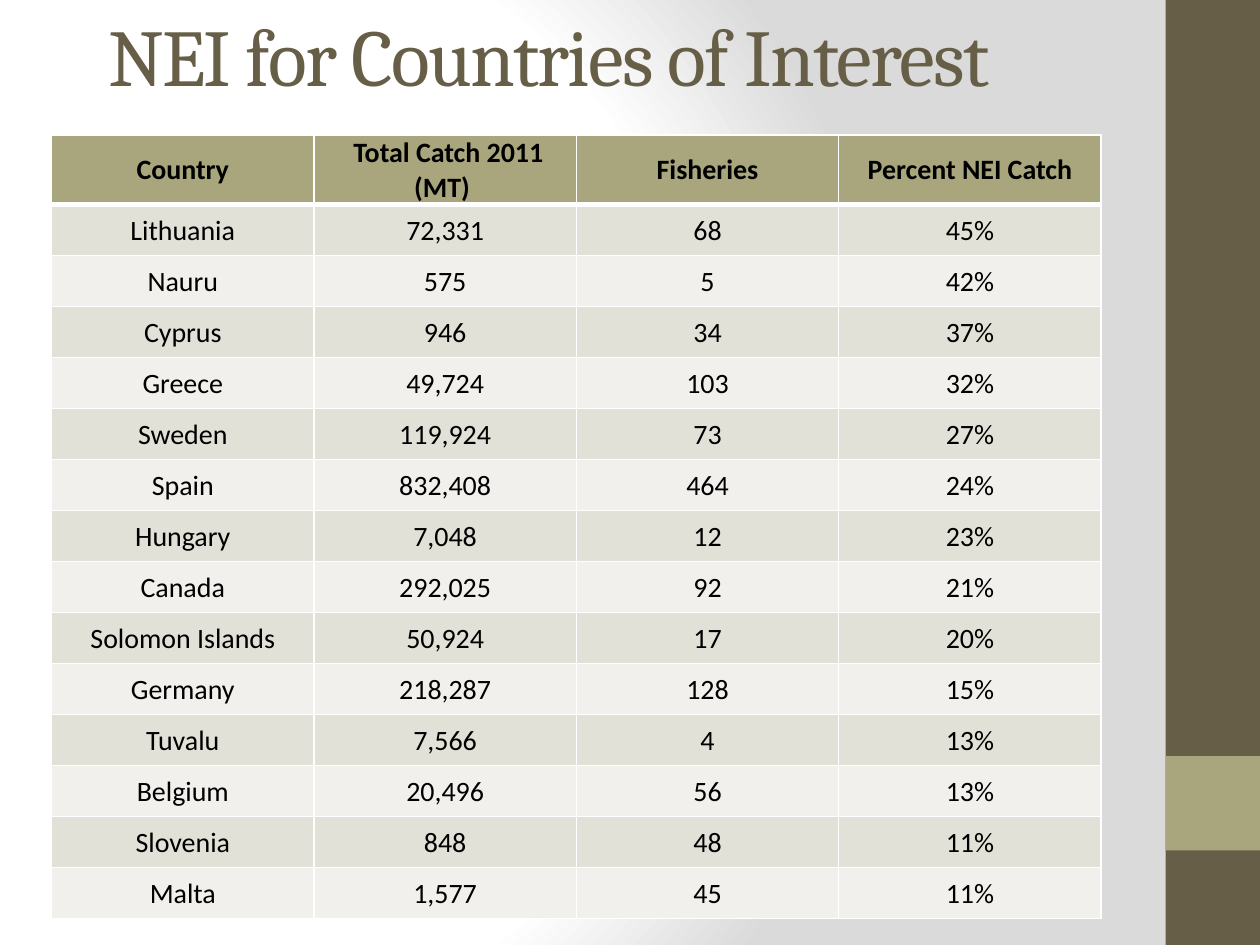
from lxml import etree
from pptx import Presentation
from pptx.dml.color import RGBColor
from pptx.enum import shapes, text
from pptx.oxml import ns
from pptx.util import Inches, Pt

BROWN = RGBColor(0x67, 0x5E, 0x47)
OLIVE = RGBColor(0xA9, 0xA5, 0x7C)
BAND_DARK = RGBColor(0xE2, 0xE1, 0xD7)
BAND_LIGHT = RGBColor(0xF1, 0xF0, 0xEC)
WHITE = RGBColor(0xFF, 0xFF, 0xFF)
GREY = RGBColor(0xDA, 0xDA, 0xDA)
BLACK = RGBColor(0, 0, 0)

ROWS = [
    ("Country", " Total Catch 2011\n(MT) ", "Fisheries", "Percent NEI Catch"),
    ("Lithuania", " 72,331 ", "68", "45%"),
    ("Nauru", " 575 ", "5", "42%"),
    ("Cyprus", " 946 ", "34", "37%"),
    ("Greece", " 49,724 ", "103", "32%"),
    ("Sweden", " 119,924 ", "73", "27%"),
    ("Spain", " 832,408 ", "464", "24%"),
    ("Hungary", " 7,048 ", "12", "23%"),
    ("Canada", " 292,025 ", "92", "21%"),
    ("Solomon Islands", " 50,924 ", "17", "20%"),
    ("Germany", " 218,287 ", "128", "15%"),
    ("Tuvalu", " 7,566 ", "4", "13%"),
    ("Belgium", " 20,496 ", "56", "13%"),
    ("Slovenia", " 848 ", "48", "11%"),
    ("Malta", " 1,577 ", "45", "11%"),
]


def add_xml(parent, tag, **attrs):
    return etree.SubElement(parent, ns.qn(tag), {k: str(v) for k, v in attrs.items()})


def set_borders(cell, widths):
    tcPr = cell._tc.get_or_add_tcPr()
    for side, width in zip("LRTB", widths):
        ln = add_xml(tcPr, f"a:ln{side}", w=Pt(width))
        add_xml(add_xml(ln, "a:solidFill"), "a:srgbClr", val=WHITE)


prs = Presentation()
prs.slide_width, prs.slide_height = Inches(10), Inches(7.5)
s = prs.slides.add_slide(prs.slide_layouts[5])

s.background.fill.gradient()
grad = s.element.find(".//" + ns.qn("a:gradFill"))
for child in list(grad):
    grad.remove(child)
stops = add_xml(grad, "a:gsLst")
for pos, color in ((0, WHITE), (75, WHITE), (100, GREY)):
    add_xml(add_xml(stops, "a:gs", pos=pos * 1000), "a:srgbClr", val=color)
circle = add_xml(grad, "a:path", path="circle")
add_xml(circle, "a:fillToRect", l=20000, t=50000, r=100000, b=50000)

for top, height, color in ((0, 7.5, BROWN), (6, 0.75, OLIVE)):
    bar = s.shapes.add_shape(shapes.MSO_SHAPE.RECTANGLE, Inches(9.25), Inches(top),
                             Inches(0.75), Inches(height))
    bar.shadow.inherit = False
    bar.fill.solid()
    bar.fill.fore_color.rgb = color
    bar.line.fill.background()

title = s.shapes.title
title.left, title.top = Inches(0.76), Inches(0.16)
title.width, title.height = Inches(8.33), Inches(0.55)
tf = title.text_frame
tf.text = "NEI for Countries of Interest"
tf.auto_size = text.MSO_AUTO_SIZE.NONE
tf.vertical_anchor = text.MSO_ANCHOR.MIDDLE
p = tf.paragraphs[0]
p.alignment = text.PP_ALIGN.LEFT
r = p.runs[0]
r.font.name, r.font.size = "Cambria", Pt(46)
r.font.color.rgb = BROWN
r._r.get_or_add_rPr().set("spc", "-100")

table = s.shapes.add_table(len(ROWS), len(ROWS[0]), Inches(0.41), Inches(1.07),
                           Inches(8.33), Inches(6.22)).table
header_height = Inches(0.55)
body_height = (Inches(6.22) - header_height) // (len(ROWS) - 1)
for i, values in enumerate(ROWS):
    header = i == 0
    table.rows[i].height = header_height if header else body_height
    for j, value in enumerate(values):
        cell = table.cell(i, j)
        cell.margin_left = cell.margin_right = cell.margin_top = Inches(0.01)
        cell.margin_bottom = 0
        cell.vertical_anchor = text.MSO_ANCHOR.MIDDLE
        set_borders(cell, (1, 1, 3 if i == 1 else 1, 3 if header else 1))
        cell.fill.solid()
        cell.fill.fore_color.rgb = OLIVE if header else BAND_DARK if i % 2 else BAND_LIGHT
        cell.text_frame.text = value
        for p in cell.text_frame.paragraphs:
            p.alignment = text.PP_ALIGN.CENTER
            for r in p.runs:
                r.font.name, r.font.size = "Calibri", Pt(16)
                r.font.bold = header
                r.font.color.rgb = BLACK

prs.save("out.pptx")
